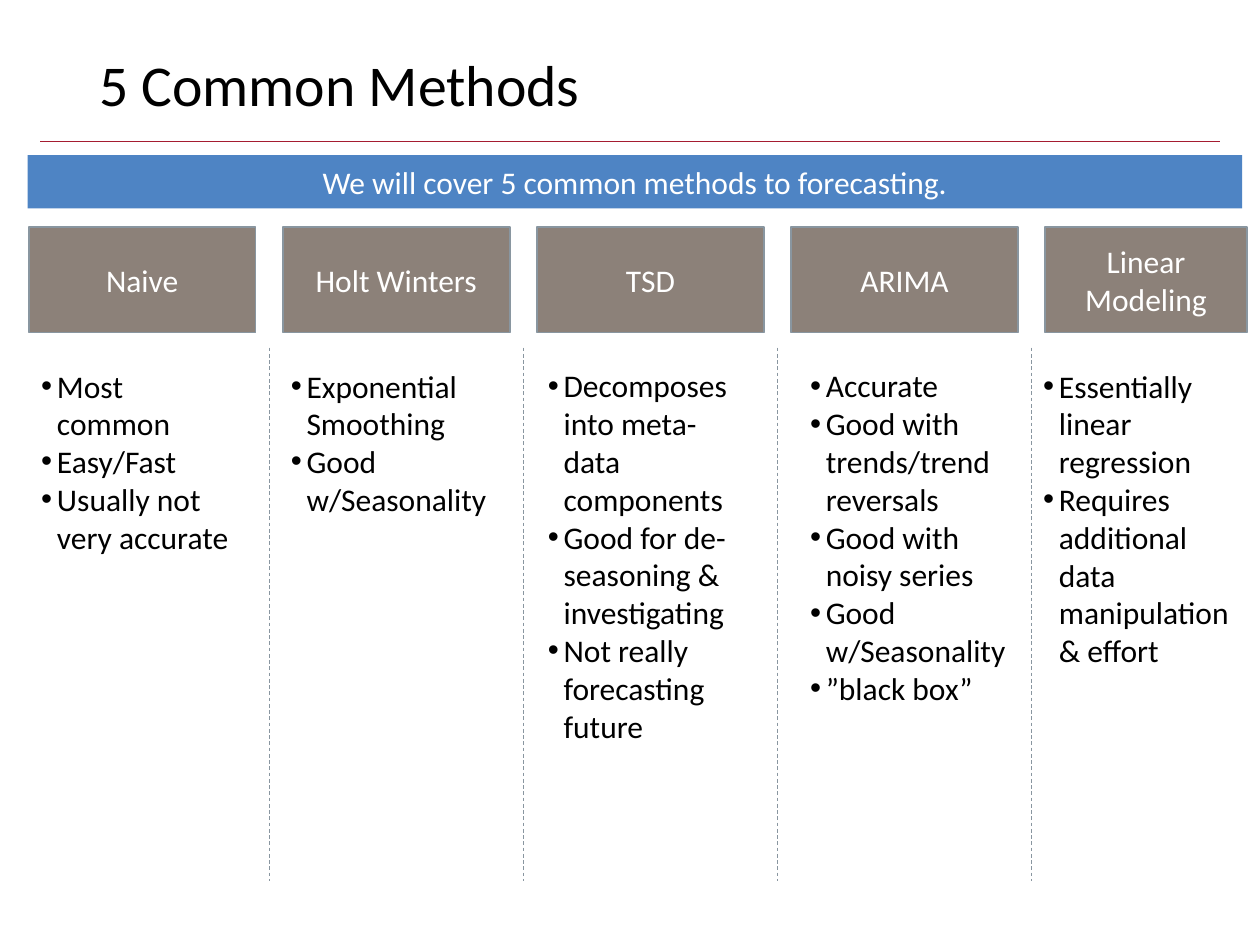
from lxml.etree import SubElement
from pptx import Presentation
from pptx.dml.color import RGBColor
from pptx.enum.dml import MSO_LINE
from pptx.enum.shapes import MSO_CONNECTOR, MSO_SHAPE
from pptx.enum.text import MSO_ANCHOR, MSO_AUTO_SIZE, PP_ALIGN
from pptx.oxml.ns import qn
from pptx.util import Pt

TITLE = "5 Common Methods"
BANNER = "We will cover 5 common methods to forecasting."
# Heading, heading width, left and height of the notes, notes
METHODS = [
    ("Naive", 129.6, 16.5, 138.2,
     ["Most common", "Easy/Fast", "Usually not very accurate"]),
    ("Holt Winters", 129.6, 159.1, 94.3,
     ["Exponential Smoothing", "Good w/Seasonality"]),
    ("TSD", 129.6, 306, 225.4,
     ["Decomposes into meta-data components",
      "Good for de-seasoning & investigating",
      "Not really forecasting future"]),
    ("ARIMA", 129.6, 455.8, 203.8,
     ["Accurate", "Good with trends/trend reversals", "Good with noisy series",
      "Good w/Seasonality", "”black box”"]),
    ("Linear Modeling", 115.2, 589, 181.4,
     ["Essentially linear regression",
      "Requires additional data manipulation & effort"]),
]

FONT = "Calibri"
BLACK = RGBColor(0x00, 0x00, 0x00)
WHITE = RGBColor(0xFF, 0xFF, 0xFF)
BLUE = RGBColor(0x4E, 0x84, 0xC4)
TAUPE = RGBColor(0x8C, 0x81, 0x79)
GREY = RGBColor(0x89, 0x96, 0xA0)
CRIMSON = RGBColor(0xA5, 0x1C, 0x30)

FIRST_LEFT, PITCH, COLUMN_WIDTH = 16.5, 145.2, 129.6
HEADING_TOP, HEADING_HEIGHT = 129.6, 60.5
NOTES_TOP = 205.9
DIVIDER_TOP, DIVIDER_BOTTOM = 198.7, 503.3
BULLET_INDENT = 9


def style_text(para, size, color):
    for span in para.runs:
        span.font.name = FONT
        span.font.size = Pt(size)
        span.font.color.rgb = color


def add_bar(page, text, left, top, width, height, fill, outline=None):
    bar = page.shapes.add_shape(
        MSO_SHAPE.RECTANGLE, Pt(left), Pt(top), Pt(width), Pt(height))
    bar.shadow.inherit = False
    bar.fill.solid()
    bar.fill.fore_color.rgb = fill
    if outline is None:
        bar.line.fill.background()
    else:
        bar.line.color.rgb = outline
        bar.line.width = Pt(1)
    frame = bar.text_frame
    frame.word_wrap = True
    frame.vertical_anchor = MSO_ANCHOR.MIDDLE
    frame.text = text
    para = frame.paragraphs[0]
    para.alignment = PP_ALIGN.CENTER
    style_text(para, 18, WHITE)


def add_text(page, text, left, top, width, height, size):
    box = page.shapes.add_textbox(Pt(left), Pt(top), Pt(width), Pt(height))
    frame = box.text_frame
    frame.word_wrap = True
    frame.text = text
    for para in frame.paragraphs:
        style_text(para, size, BLACK)
    return frame


def add_bullet(para):
    properties = para._p.get_or_add_pPr()
    properties.set("marL", str(Pt(BULLET_INDENT)))
    properties.set("indent", str(-Pt(BULLET_INDENT)))
    SubElement(properties, qn("a:buFont"), typeface="Arial")
    SubElement(properties, qn("a:buChar"), char="•")


def add_line(page, x1, y1, x2, y2, color):
    line = page.shapes.add_connector(
        MSO_CONNECTOR.STRAIGHT, Pt(x1), Pt(y1), Pt(x2), Pt(y2))
    line.line.color.rgb = color
    line.line.width = Pt(0.5)
    SubElement(line._element.spPr, qn("a:effectLst"))
    return line


def main():
    deck = Presentation()
    deck.slide_width, deck.slide_height = Pt(720), Pt(540)
    page = deck.slides.add_slide(deck.slide_layouts[6])

    add_line(page, 23, 80.8, 697, 80.8, CRIMSON)
    title = add_text(page, TITLE, 49.7, 28.8, 620.6, 46.8, 33)
    title.paragraphs[0].line_spacing = 0.9
    add_bar(page, BANNER, 15.8, 88.6, 694.1, 30.5, BLUE)

    gap = PITCH - COLUMN_WIDTH
    for index, (name, width, notes_left, notes_height, notes) in enumerate(METHODS):
        left = FIRST_LEFT + index * PITCH
        add_bar(page, name, left, HEADING_TOP, width, HEADING_HEIGHT, TAUPE, GREY)
        frame = add_text(page, "\n".join(notes), notes_left, NOTES_TOP,
                         COLUMN_WIDTH, notes_height, 18)
        frame.auto_size = MSO_AUTO_SIZE.SHAPE_TO_FIT_TEXT
        for para in frame.paragraphs:
            add_bullet(para)
        if index > 0:
            x = left - gap / 2
            divider = add_line(page, x, DIVIDER_TOP, x, DIVIDER_BOTTOM, GREY)
            divider.line.dash_style = MSO_LINE.DASH

    deck.save("out.pptx")


if __name__ == "__main__":
    main()
